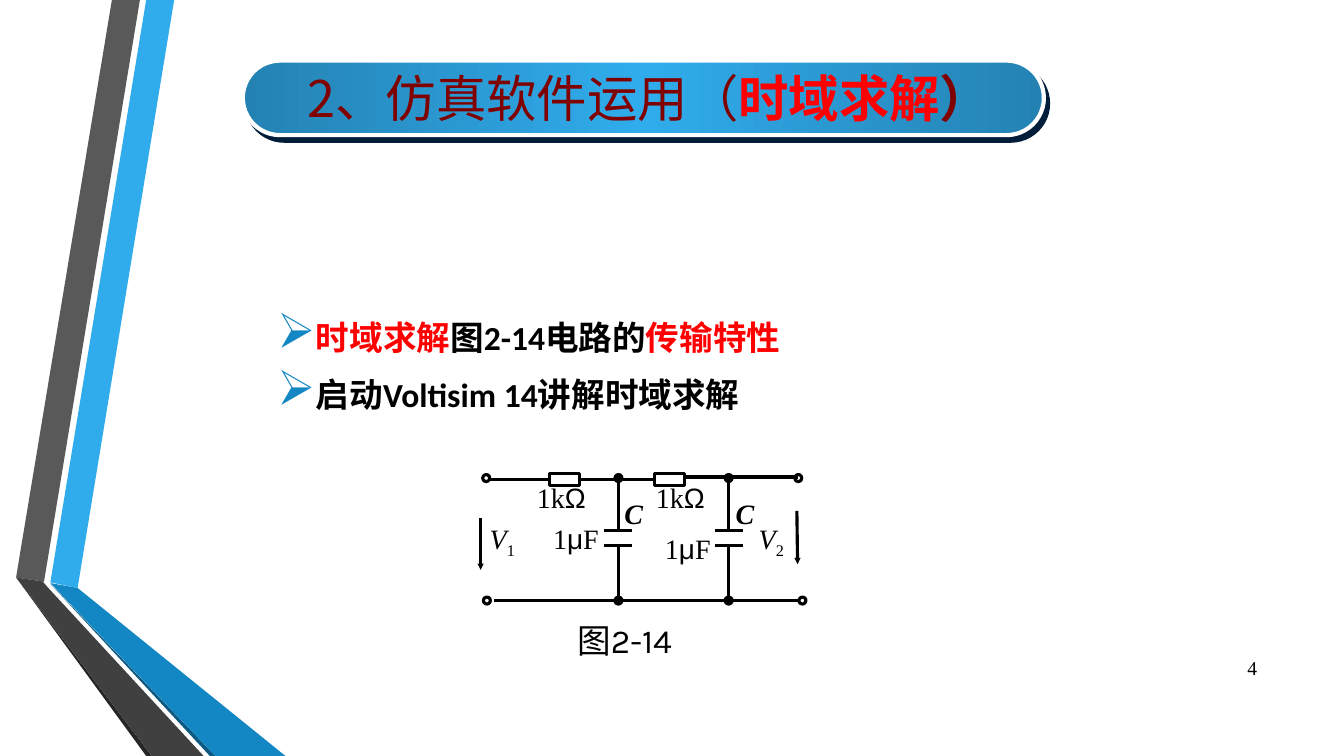
from copy import deepcopy

from lxml import etree
from pptx import Presentation
from pptx import util as u
from pptx.dml.color import RGBColor
from pptx.enum import shapes, text
from pptx.oxml import ns

Pt = u.Pt
SHAPE = shapes.MSO_SHAPE
ALIGN = text.PP_ALIGN
BLACK, WHITE, RED, MAROON, BLUE = "000000", "FFFFFF", "FF0000", "800000", "1287C3"
SERIF, CJK = "Times New Roman", "Noto Sans CJK SC"

# Ribbon pieces: fill, corner points
RIBBONS = [
    ("30ACEC", [(36, 416), (55.5, 420), (124.5, 0), (104.5, 0)]),
    ("595959", [(100, 0), (80, 0), (11.5, 412.5), (31.5, 415.5)]),
    ("262626", [(11.5, 412.5), (104.5, 540), (108.5, 540)]),
    ("0C5A82", [(36, 417), (150, 540), (154, 540)]),
    (BLUE, [(36, 416.5), (154, 540), (204, 540), (55.5, 420)]),
    ("404040", [(145.5, 540), (34.5, 420), (31, 416), (31.5, 415.5), (11.5, 412.5), (108.5, 540)]),
]
# Runs: text and what differs from the paragraph's font
TITLE = [("2、仿真软件运用（", {}), ("时域求解", {"color": RED, "bold": True}), ("）", {"bold": True})]
BULLETS = [
    [("时域求解", {"color": RED}), ("图2-14电路的", {}), ("传输特性", {"color": RED})],
    [("启动Voltisim 14讲解时域求解", {})],
]


def voltage(index):
    return [("V", {"italic": True}), (index, {"baseline": -25000})]


OHMS = [("1k", {}), ("Ω", {"name": "Arial"})]
FARADS = [("1", {}), ("μ", {"name": "Arial"}), ("F", {})]
CAP = [("C", {"bold": True, "italic": True})]
# Circuit labels: left, top, width, runs, alignment
LABELS = [
    (541.5, 371.5, 24.5, voltage("2"), ALIGN.JUSTIFY),
    (525, 354.25, 21.5, CAP, ALIGN.LEFT),
    (474.5, 378.75, 59, FARADS, ALIGN.JUSTIFY),
    (468, 342.75, 69, OHMS, ALIGN.JUSTIFY),
    (445.5, 354.25, 23, CAP, ALIGN.LEFT),
    (349.25, 371.5, 21.5, voltage("1"), ALIGN.JUSTIFY),
    (394.5, 371.5, 59, FARADS, ALIGN.JUSTIFY),
    (383, 342.75, 51, OHMS, ALIGN.JUSTIFY),
]
TOP, BOTTOM = 341.5, 429
WIRE_Y = 342.5
BRANCHES = [442, 520.75]
PLATES = [378.75, 389.5]
RESISTORS = [392.5, 468]
RESISTOR_W, RESISTOR_H = 21.5, 8.5
TERMINALS = [(347.5, TOP), (570.5, TOP), (348, BOTTOM), (573.5, BOTTOM)]
VOLTAGE_ARROWS = [(343.5, 370, 343.5, 407), (569.5, 365, 570, 403)]

prs = Presentation()
prs.slide_width, prs.slide_height = Pt(960.5), Pt(540)
slide = prs.slides.add_slide(prs.slide_layouts[6])


def rgb(value):
    return RGBColor.from_string(value)


def sub(parent, tag, **attrs):
    return etree.SubElement(parent, ns.qn(tag), attrs)


def style_font(font, color=None, size=None, name=None, bold=None, italic=None, baseline=None):
    if color:
        font.color.rgb = rgb(color)
    if size:
        font.size = Pt(size)
    if name:
        font.name = name
    if bold is not None:
        font.bold = bold
    if italic is not None:
        font.italic = italic
    if baseline:
        font._element.set("baseline", str(baseline))


def write(p, runs, align=ALIGN.LEFT, **font):
    p.alignment = align
    style_font(p.font, **font)
    for words, changes in runs:
        r = p.add_run()
        r.text = words
        style_font(r.font, **changes)


def add_text(left, top, width, height, inset=None, anchor=text.MSO_ANCHOR.TOP):
    tf = slide.shapes.add_textbox(Pt(left), Pt(top), Pt(width), Pt(height)).text_frame
    tf.word_wrap = True
    tf.vertical_anchor = anchor
    if inset is not None:
        tf.margin_left = tf.margin_right = tf.margin_top = tf.margin_bottom = Pt(inset)
    return tf


def add_part(kind, left, top, width, height, fill=None, line=BLACK, weight=2.25):
    s = slide.shapes.add_shape(kind, Pt(left), Pt(top), Pt(width), Pt(height))
    s.shadow.inherit = False
    if fill:
        s.fill.solid()
        s.fill.fore_color.rgb = rgb(fill)
    else:
        s.fill.background()
    s.line.color.rgb = rgb(line)
    s.line.width = Pt(weight)
    return s


def add_dot(x, y, fill=None):
    add_part(SHAPE.OVAL, x - 2.5, y - 2.5, 5, 5, fill)


def add_wire(x1, y1, x2, y2, arrow=False):
    c = slide.shapes.add_connector(shapes.MSO_CONNECTOR.STRAIGHT, Pt(x1), Pt(y1), Pt(x2), Pt(y2))
    c.line.color.rgb = rgb(BLACK)
    c.line.width = Pt(2.25)
    if arrow:
        sub(c.line._get_or_add_ln(), "a:tailEnd", type="triangle", w="sm", len="sm")
    sub(c._element.spPr, "a:effectLst")
    return c


def add_ribbons():
    for color, points in RIBBONS:
        corners = [(Pt(x), Pt(y)) for x, y in points]
        builder = slide.shapes.build_freeform(*corners[0])
        builder.add_line_segments(corners[1:], close=True)
        s = builder.convert_to_shape()
        s.shadow.inherit = False
        s.fill.solid()
        s.fill.fore_color.rgb = rgb(color)
        s.line.fill.background()


def add_title():
    s = add_part(SHAPE.ROUNDED_RECTANGLE, 173.5, 43.25, 572.5, 53.25, line=WHITE, weight=3)
    s.adjustments[0] = 0.5
    s.fill.gradient()
    s.fill.gradient_angle = 0
    edge, middle = s.fill.gradient_stops
    edge.color.rgb = rgb("2482B3")
    middle.color.rgb = rgb("30ACEC")
    middle.position = 0.5
    stops = s._element.spPr.find(".//" + ns.qn("a:gsLst"))
    stops.append(deepcopy(stops[0]))
    stops[2].set("pos", "100000")
    effects = s._element.spPr.find(ns.qn("a:effectLst"))
    shadow = sub(effects, "a:outerShdw", dist=str(Pt(5)), dir=str(53 * 60000), algn="ctr", rotWithShape="0")
    sub(shadow, "a:srgbClr", val="001D3A")
    tf = s.text_frame
    tf.word_wrap = False
    tf.margin_left = Pt(15)
    tf.vertical_anchor = text.MSO_ANCHOR.MIDDLE
    write(tf.paragraphs[0], TITLE, ALIGN.CENTER, color=MAROON, size=36, name=CJK)


def add_bullets():
    tf = add_text(191, 175, 580, 172.5, anchor=text.MSO_ANCHOR.MIDDLE)
    for i, runs in enumerate(BULLETS):
        p = tf.add_paragraph() if i else tf.paragraphs[0]
        if i:
            p.space_before = Pt(6)
        p.space_after = Pt(6)
        pPr = p._p.get_or_add_pPr()
        pPr.set("marL", str(Pt(22.5)))
        pPr.set("indent", str(-Pt(22.5)))
        sub(sub(pPr, "a:buClr"), "a:srgbClr", val=BLUE)
        sub(pPr, "a:buSzPct", val="145000")
        sub(pPr, "a:buChar", char="➢")
        write(p, runs, color=BLACK, size=24, name="Calibri", bold=True)


def add_circuit():
    first, second = [
        add_part(SHAPE.RECTANGLE, x, WIRE_Y - RESISTOR_H / 2, RESISTOR_W, RESISTOR_H) for x in RESISTORS
    ]
    add_wire(350, WIRE_Y, RESISTORS[0], WIRE_Y).end_connect(first, 3 - 2)
    link = add_wire(RESISTORS[0] + RESISTOR_W, WIRE_Y, RESISTORS[1], WIRE_Y)
    link.begin_connect(first, 3)
    link.end_connect(second, 1)
    add_wire(RESISTORS[1] + RESISTOR_W, 340.75, 570, 340.75)
    add_wire(353, 429.25, 571, 429.25)
    for x in BRANCHES:
        add_wire(x, TOP, x, PLATES[0])
        add_wire(x, PLATES[1], x, BOTTOM)
        for y in PLATES:
            add_wire(x - 10, y, x + 10, y)
        for y in (TOP, BOTTOM):
            add_dot(x, y, BLACK)
    for x, y in TERMINALS:
        add_dot(x, y)
    for ends in VOLTAGE_ARROWS:
        add_wire(*ends, arrow=True)
    for left, top, width, runs, align in LABELS:
        tf = add_text(left, top, width, 37, inset=0.72)
        write(tf.paragraphs[0], runs, align, color=BLACK, size=20, name=SERIF)
    caption = add_text(405.5, 439, 181.5, 36)
    write(caption.paragraphs[0], [("图2-14", {})], color=BLACK, size=24, name="Karla")


add_ribbons()
add_bullets()
number = add_text(862.5, 462.25, 43, 29, anchor=text.MSO_ANCHOR.MIDDLE)
write(number.paragraphs[0], [("4", {})], ALIGN.RIGHT, color=BLACK, size=14, name=SERIF)
add_title()
add_circuit()
prs.save("out.pptx")
